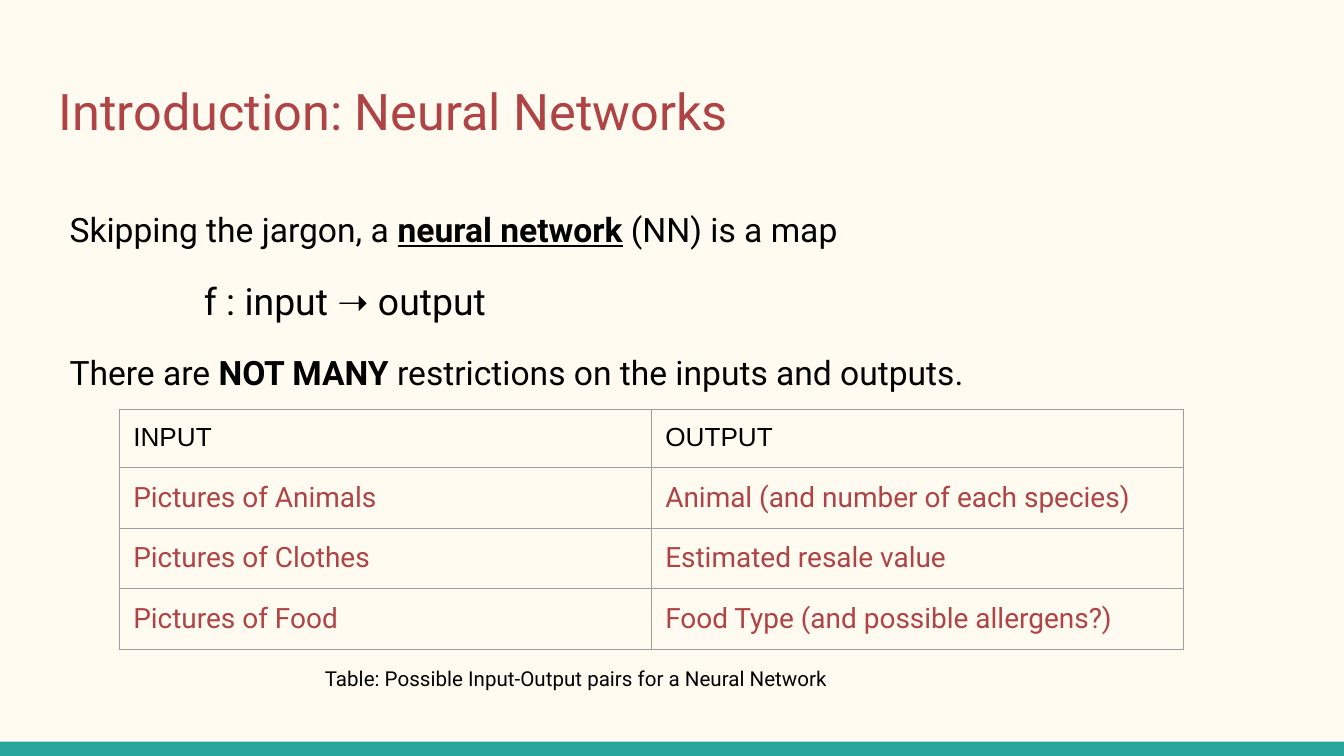
from lxml.etree import SubElement
from pptx import Presentation
from pptx.dml.color import RGBColor
from pptx.enum.shapes import MSO_SHAPE
from pptx.enum.text import MSO_ANCHOR
from pptx.oxml.ns import qn
from pptx.util import Pt

RED, BLACK, TEAL, GRAY, CREAM = "AF4345", "000000", "26A69A", "9E9E9E", "FFFBF0"
INSET = Pt(7.2)


def color(hex_string):
    return RGBColor.from_string(hex_string)


def add_text(paragraph, text, size, hex_string, font="Roboto", bold=False, underline=False):
    run = paragraph.add_run()
    run.text = text
    run.font.name = font
    run.font.size = Pt(size)
    run.font.bold = bold
    run.font.underline = underline
    run.font.color.rgb = color(hex_string)


presentation = Presentation()
presentation.slide_width = Pt(720)
presentation.slide_height = Pt(405)
slide = presentation.slides.add_slide(presentation.slide_layouts[6])
slide.background.fill.solid()
slide.background.fill.fore_color.rgb = color(CREAM)

footer_bar = slide.shapes.add_shape(MSO_SHAPE.RECTANGLE, Pt(0), Pt(397.4), Pt(720), Pt(7.6))
footer_bar.shadow.inherit = False
footer_bar.fill.solid()
footer_bar.fill.fore_color.rgb = color(TEAL)
footer_bar.line.fill.background()

frames = []
for left, top, width, height in [
    (24.5, 35.3, 671, 48.2),
    (30.2, 101.5, 658.8, 242.6),
    (167, 350, 404, 28),
]:
    text_box = slide.shapes.add_textbox(Pt(left), Pt(top), Pt(width), Pt(height))
    frame = text_box.text_frame
    frame.word_wrap = True
    frame.margin_left = frame.margin_right = INSET
    frame.margin_top = frame.margin_bottom = INSET
    frames.append(frame)
title, body, caption = frames

title.vertical_anchor = MSO_ANCHOR.MIDDLE
add_text(title.paragraphs[0], "Introduction: Neural Networks", 27, RED)
add_text(caption.paragraphs[0], "Table: Possible Input-Output pairs for a Neural Network", 11, BLACK)

definition = body.paragraphs[0]
mapping = body.add_paragraph()
restrictions = body.add_paragraph()
for paragraph in body.paragraphs:
    paragraph.line_spacing = 1.15
for paragraph in (mapping, restrictions):
    paragraph.space_before = Pt(12)
mapping._p.get_or_add_pPr().set("marL", str(Pt(72)))

add_text(definition, "Skipping the jargon, a ", 18, BLACK)
add_text(definition, "neural network", 18, BLACK, bold=True, underline=True)
add_text(definition, " (NN) is a map", 18, BLACK)
add_text(mapping, "f : input ➝ output", 20, BLACK)
add_text(restrictions, "There are ", 18, BLACK)
add_text(restrictions, "NOT MANY ", 18, BLACK, bold=True)
add_text(restrictions, "restrictions on the inputs and outputs.", 18, BLACK)

pairs = [
    ("INPUT", "OUTPUT"),
    ("Pictures of Animals", "Animal (and number of each species)"),
    ("Pictures of Clothes", "Estimated resale value"),
    ("Pictures of Food", "Food Type (and possible allergens?)"),
]
table = slide.shapes.add_table(len(pairs), 2, Pt(64.2), Pt(219.3), Pt(570), Pt(126)).table
table.horz_banding = False
table.first_row = False
for row_index, pair in enumerate(pairs):
    is_header = row_index == 0
    table.rows[row_index].height = Pt(30 if is_header else 32)
    for column_index, text in enumerate(pair):
        cell = table.cell(row_index, column_index)
        cell.margin_left = cell.margin_right = INSET
        cell.margin_top = cell.margin_bottom = INSET
        paragraph = cell.text_frame.paragraphs[0]
        if is_header:
            add_text(paragraph, text, 14, BLACK, "Arial")
        else:
            add_text(paragraph, text, 15, RED)
        properties = cell._tc.get_or_add_tcPr()
        for side in ("a:lnL", "a:lnR", "a:lnT", "a:lnB"):
            border = SubElement(properties, qn(side), w=str(Pt(0.75)))
            border_fill = SubElement(border, qn("a:solidFill"))
            SubElement(border_fill, qn("a:srgbClr"), val=GRAY)
        cell.fill.background()

presentation.save("out.pptx")
